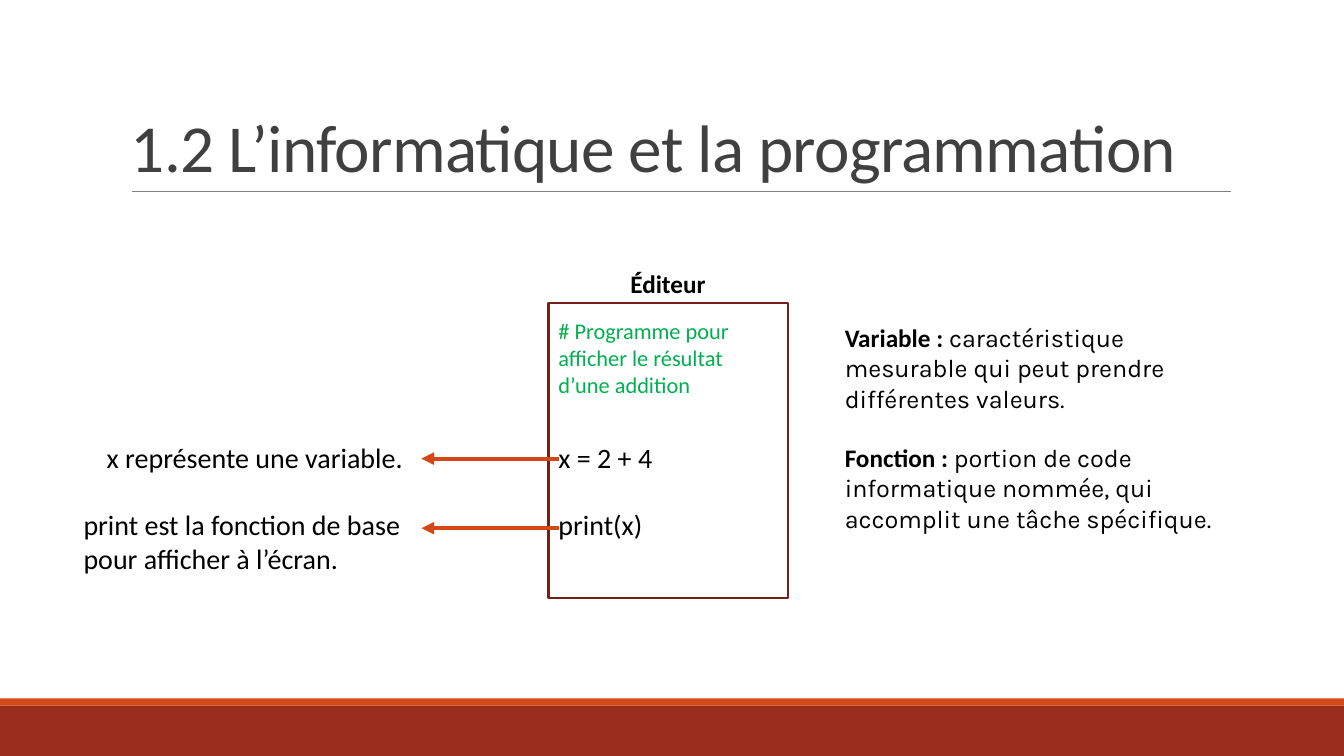
from lxml import etree
from pptx import Presentation
from pptx.dml.color import RGBColor
from pptx.enum.shapes import MSO_CONNECTOR, MSO_SHAPE
from pptx.enum.text import MSO_ANCHOR, PP_ALIGN
from pptx.oxml.ns import qn
from pptx.util import Inches, Pt

RECT = MSO_SHAPE.RECTANGLE
STRAIGHT = MSO_CONNECTOR.STRAIGHT
TOP, BOTTOM = MSO_ANCHOR.TOP, MSO_ANCHOR.BOTTOM
LEFT, CENTER = PP_ALIGN.LEFT, PP_ALIGN.CENTER

BLACK = RGBColor(0, 0, 0)
DARK = RGBColor(0x40, 0x40, 0x40)
GRAY = RGBColor(0x80, 0x80, 0x80)
BRICK = RGBColor(0x9B, 0x2D, 0x1F)
ORANGE = RGBColor(0xD3, 0x48, 0x17)
MAROON = RGBColor(0x74, 0x22, 0x17)
GREEN = RGBColor(0x00, 0xB0, 0x50)

COLS, ROWS = 133.33, 75
CELL = Inches(0.1)


class Sheet:
    font = "Calibri"
    second = "Karla"

    def __init__(self, slide):
        self.shapes = slide.shapes

    def grid(self, *cells):
        return [round(cell * CELL) for cell in cells]

    def box(self, area, fill=None, edge=None):
        shape = self.shapes.add_shape(RECT, *self.grid(*area))
        shape.shadow.inherit = False
        if fill is None:
            shape.fill.background()
        else:
            shape.fill.solid()
            shape.fill.fore_color.rgb = fill
        if edge is None:
            shape.line.fill.background()
        else:
            shape.line.color.rgb = edge
            shape.line.width = Pt(1.5)

    def line(self, start, end, color, width, arrow=False):
        link = self.shapes.add_connector(STRAIGHT, *self.grid(*start, *end))
        link.line.color.rgb = color
        link.line.width = Pt(width)
        if arrow:
            stroke = link.line._get_or_add_ln()
            etree.SubElement(stroke, qn("a:tailEnd"), type="triangle")
        etree.SubElement(link._element.spPr, qn("a:effectLst"))

    def style(self, run, size, color, bold=False, font=None):
        run.font.name = font or self.font
        run.font.size = Pt(size)
        run.font.bold = bold
        run.font.color.rgb = color

    def text(self, area, words, size, color=BLACK, bold=False,
             align=LEFT, anchor=TOP, gap=0):
        frame = self.shapes.add_textbox(*self.grid(*area)).text_frame
        frame.word_wrap = True
        frame.vertical_anchor = anchor
        frame.text = words
        for index, para in enumerate(frame.paragraphs):
            para.alignment = align
            if index:
                para.space_before = Pt(gap)
            for run in para.runs:
                self.style(run, size, color, bold)
        return frame

    def title(self, area, words):
        frame = self.text(area, words, 48, DARK, anchor=BOTTOM)
        para = frame.paragraphs[0]
        para.line_spacing = 0.85
        para.runs[0]._r.get_or_add_rPr().set("spc", "-50")

    def term(self, area, name, sense):
        frame = self.text(area, name, 18, bold=True)
        run = frame.paragraphs[0].add_run()
        run.text = sense
        self.style(run, 18, BLACK, font=self.second)


def main():
    deck = Presentation()
    deck.slide_width = Inches(13.33)
    deck.slide_height = Inches(7.5)
    sheet = Sheet(deck.slides.add_slide(deck.slide_layouts[6]))

    sheet.box((0, 70, COLS, ROWS - 70), BRICK)
    sheet.box((0, 69.3, COLS, 0.7), ORANGE)
    sheet.line((13.1, 19), (122.1, 19), GRAY, 0.5)
    sheet.title((12, 3.1, 110, 15.9), "1.2 L’informatique et la programmation")

    left, wide = 54.4, 23.8
    sheet.box((left, 30.1, wide, 29.2), edge=MAROON)
    sheet.text((59.8, 26.1, 12.9, 4), "Éditeur", 18, bold=True, align=CENTER)
    sheet.text((left, 31, wide, 9.1),
               "# Programme pour afficher le résultat d’une addition", 16, GREEN)
    sheet.text((left, 43.2, wide, 11.1), "x = 2 + 4\nprint(x)", 20, gap=24)

    notes = [
        (45.5, (9.6, 43.2, 34.5, 4.4), "x représente une variable."),
        (52.4, (7.3, 49.9, 34.5, 7.7),
         "print est la fonction de base pour afficher à l’écran."),
    ]
    for row, area, words in notes:
        sheet.line((left + 1, row), (41.8, row), ORANGE, 3, arrow=True)
        sheet.text(area, words, 20)

    terms = [
        (31.5, "Variable : ",
         "caractéristique mesurable qui peut prendre différentes valeurs."),
        (43.4, "Fonction : ",
         "portion de code informatique nommée, qui accomplit une tâche spécifique."),
    ]
    for row, name, sense in terms:
        sheet.term((82.8, row, 40.9, 10.1), name, sense)

    deck.save("out.pptx")


if __name__ == "__main__":
    main()
